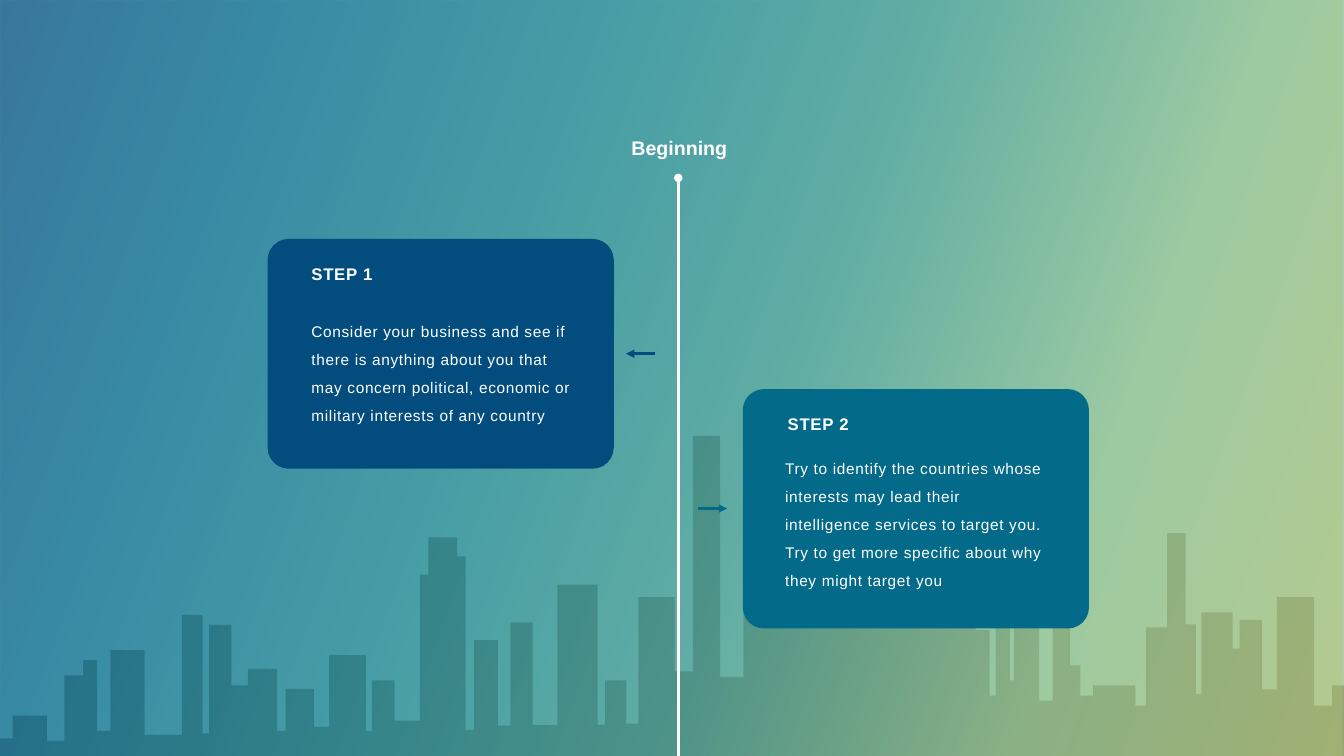
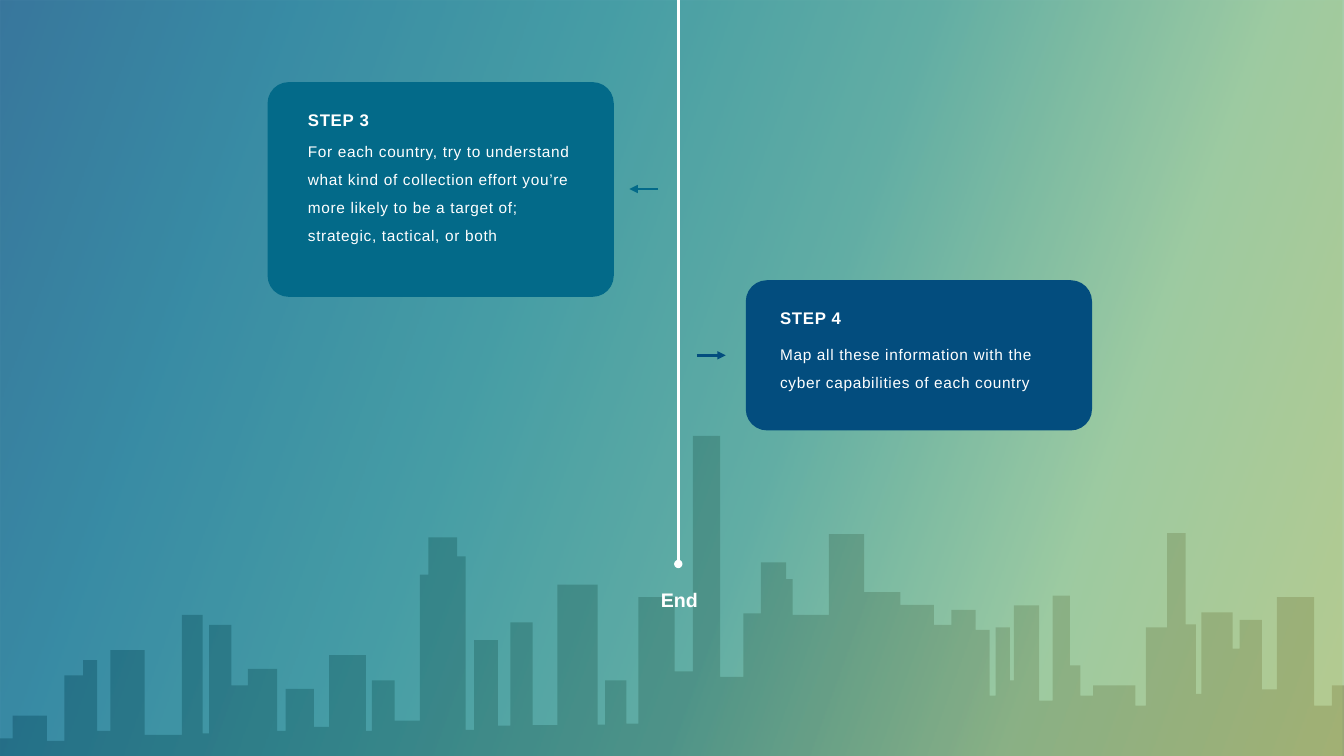
from lxml.etree import SubElement
from pptx import Presentation
from pptx.dml.color import RGBColor
from pptx.enum.shapes import MSO_CONNECTOR, MSO_SHAPE
from pptx.enum.text import MSO_ANCHOR, MSO_AUTO_SIZE, PP_ALIGN
from pptx.oxml.ns import qn
from pptx.util import Cm, Pt

WIDTH, HEIGHT = 26.67, 15
NAVY, TEAL, WHITE = "034D7E", "036A89", "FFFFFF"
BASE, CITY = "B9DBE5", "595959"
FONT = "Arial"
STEM_X = 13.46
CARD_W, CARD_RADIUS = 6.87, 0.42
TITLE_W, TITLE_H = 2.94, 0.67
TEXT_W, HEAD_H = 5.61, 0.92
ARROW_LEN = 0.57
GRADIENT = [(0, "B4C46C"), (21, "92C485"), (42, "3E9B89"),
            (62, "17848B"), (82, TEAL), (100, NAVY)]

SLIDES = [
    dict(title="Beginning", title_top=2.6, stem=(15.19, 3.53), cards=[
        dict(head="STEP 1", color=NAVY, at=(5.31, 4.74), height=4.56,
             arrow=(12.99, 7.02, -1), head_at=(5.98, 4.9),
             body_at=(5.98, 6.03), body_h=2.58,
             body="Consider your business and see if there is anything about you that "
                  "may concern political, economic or military interests of any country"),
        dict(head="STEP 2", color=TEAL, at=(14.74, 7.72), height=4.75,
             arrow=(13.86, 10.09, 1), head_at=(15.43, 7.87),
             body_at=(15.38, 8.73), body_h=3.14,
             body="Try to identify the countries whose interests may lead their "
                  "intelligence services to target you. Try to get more specific "
                  "about why they might target you"),
    ]),
    dict(title="End", title_top=11.56, stem=(-0.03, 11.19), cards=[
        dict(head="STEP 3", color=TEAL, at=(5.31, 1.63), height=4.26,
             arrow=(13.06, 3.75, -1), head_at=(5.91, 1.84),
             body_at=(5.91, 2.46), body_h=2.58,
             body="For each country, try to understand what kind of collection effort "
                  "you’re more likely to be a target of; strategic, tactical, or both"),
        dict(head="STEP 4", color=NAVY, at=(14.8, 5.56), height=2.98,
             arrow=(13.83, 7.05, 1), head_at=(15.28, 5.76),
             body_at=(15.28, 6.47), body_h=1.47,
             body="Map all these information with the cyber capabilities of each country"),
    ]),
]

ROOFS = [
    (0, 14.65), (0.25, 14.2), (0.93, 14.7), (1.28, 13.4), (1.65, 13.1), (1.93, 14.5),
    (2.19, 12.9), (2.87, 14.58), (3.61, 12.2), (4.02, 14.55), (4.15, 12.4), (4.59, 13.6),
    (4.92, 13.27), (5.5, 14.5), (5.67, 13.67), (6.23, 14.42), (6.53, 13), (7.26, 14.5),
    (7.38, 13.5), (7.83, 14.3), (8.33, 11.4), (8.5, 10.66), (9.07, 11.04), (9.24, 14.48),
    (9.41, 12.7), (9.88, 14.4), (10.13, 12.35), (10.57, 14.39), (11.06, 11.6),
    (11.86, 14.38), (12.01, 13.5), (12.43, 14.36), (12.67, 11.85), (13.39, 13.32),
    (13.75, 8.65), (14.29, 13.43), (14.75, 12.17), (15.1, 11.16), (15.6, 11.49),
    (15.73, 12.2), (16.45, 10.6), (17.15, 11.75), (17.87, 12), (18.53, 12.4),
    (18.88, 12.1), (19.36, 12.5), (19.64, 13.8), (19.76, 12.45), (20.04, 13.5),
    (20.12, 12.01), (20.62, 13.9), (20.89, 11.82), (21.23, 13.2), (21.44, 13.8),
    (21.69, 13.6), (22.53, 14), (22.74, 12.45), (23.16, 10.58), (23.53, 12.39),
    (23.73, 13.77), (23.84, 12.15), (24.46, 12.87), (24.6, 12.3), (25.04, 13.68),
    (25.34, 11.85), (26.08, 14), (26.43, 13.6),
]


def u(inches):
    return Cm(inches * 2.54)


def rgb(value):
    return RGBColor.from_string(value)


def set_alpha(color_el, percent):
    SubElement(color_el, qn("a:alpha"), val=str(percent * 1000))


def paint(sp, color):
    sp.shadow.inherit = False
    sp.fill.solid()
    sp.fill.fore_color.rgb = rgb(color)
    sp.line.fill.background()


def add_box(s, kind, x, y, w, h, color):
    sp = s.shapes.add_shape(kind, u(x), u(y), u(w), u(h))
    paint(sp, color)
    return sp


def add_skyline(s):
    rights = [x for x, _ in ROOFS[1:]] + [WIDTH]
    points = [(x, y) for (left, y), right in zip(ROOFS, rights) for x in (left, right)]
    points += [(WIDTH, 15.08), (0, 15.23)]
    outline = [(u(x), u(y)) for x, y in points]
    builder = s.shapes.build_freeform(*outline[0])
    builder.add_line_segments(outline[1:], close=True)
    sp = builder.convert_to_shape()
    paint(sp, CITY)
    set_alpha(next(sp.element.spPr.iter(qn("a:srgbClr"))), 68)


def add_tint(s):
    sp = add_box(s, MSO_SHAPE.RECTANGLE, 0, 0, WIDTH, HEIGHT, BASE)
    sp.fill.gradient()
    grad = sp.element.spPr.find(qn("a:gradFill"))
    for child in list(grad):
        grad.remove(child)
    stops = SubElement(grad, qn("a:gsLst"))
    for pos, color in GRADIENT:
        stop = SubElement(stops, qn("a:gs"), pos=str(pos * 1000))
        set_alpha(SubElement(stop, qn("a:srgbClr"), val=color), 70)
    SubElement(grad, qn("a:lin"), ang=str(200 * 60000), scaled="0")


def add_line(s, x1, y1, x2, y2, color, ending):
    cn = s.shapes.add_connector(MSO_CONNECTOR.STRAIGHT, u(x1), u(y1), u(x2), u(y2))
    cn.line.color.rgb = rgb(color)
    cn.line.width = Pt(4)
    SubElement(cn.element.spPr.find(qn("a:ln")), qn("a:tailEnd"), type=ending)
    SubElement(cn.element.spPr, qn("a:effectLst"))


def write(sp, text, size, bold, inset, anchor):
    tf = sp.text_frame
    tf.word_wrap = True
    tf.auto_size = MSO_AUTO_SIZE.SHAPE_TO_FIT_TEXT
    tf.vertical_anchor = anchor
    tf.margin_left = tf.margin_right = tf.margin_top = tf.margin_bottom = u(inset)
    p = tf.paragraphs[0]
    r = p.add_run()
    r.text = text
    r.font.name, r.font.size, r.font.bold = FONT, Pt(size), bold
    r.font.color.rgb = rgb(WHITE)
    return p


def add_text(s, at, h, text, size, bold):
    x, y = at
    sp = s.shapes.add_textbox(u(x), u(y), u(TEXT_W), u(h))
    p = write(sp, text, size, bold, 0.2, MSO_ANCHOR.MIDDLE)
    p.line_spacing = Pt(40)
    next(sp.element.iter(qn("a:rPr"))).set("spc", "100")


def add_title(s, text, top):
    sp = s.shapes.title
    s.shapes.element.append(sp.element)
    sp.left, sp.top = u(STEM_X + 0.02 - TITLE_W / 2), u(top)
    sp.width, sp.height = u(TITLE_W), u(TITLE_H)
    p = write(sp, text, 28, True, 0.1, MSO_ANCHOR.TOP)
    p.alignment = PP_ALIGN.CENTER


def add_card(s, card):
    sp = add_box(s, MSO_SHAPE.ROUNDED_RECTANGLE, *card["at"], CARD_W, card["height"], card["color"])
    sp.adjustments[0] = CARD_RADIUS / card["height"]
    x, y, direction = card["arrow"]
    add_line(s, x, y, x + direction * ARROW_LEN, y, card["color"], "triangle")
    add_text(s, card["head_at"], HEAD_H, card["head"], 24, True)
    add_text(s, card["body_at"], card["body_h"], card["body"], 22, False)


def main():
    prs = Presentation()
    prs.slide_width, prs.slide_height = u(WIDTH), u(HEIGHT)
    for content in SLIDES:
        s = prs.slides.add_slide(prs.slide_layouts[5])
        add_box(s, MSO_SHAPE.RECTANGLE, 0, 0, WIDTH, HEIGHT, BASE)
        add_skyline(s)
        add_tint(s)
        edge, dot = content["stem"]
        add_line(s, STEM_X, edge, STEM_X, dot, WHITE, "oval")
        add_title(s, content["title"], content["title_top"])
        for card in content["cards"]:
            add_card(s, card)
    prs.save("out.pptx")


if __name__ == "__main__":
    main()
